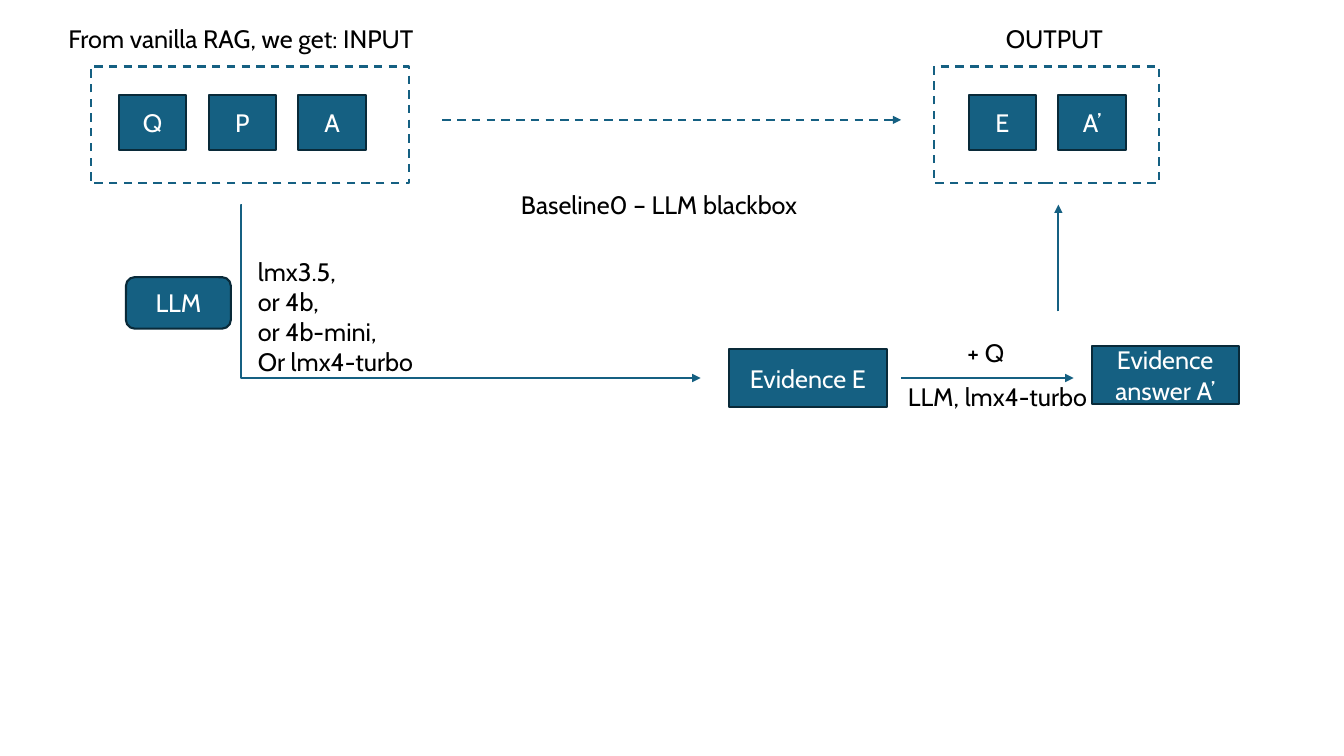
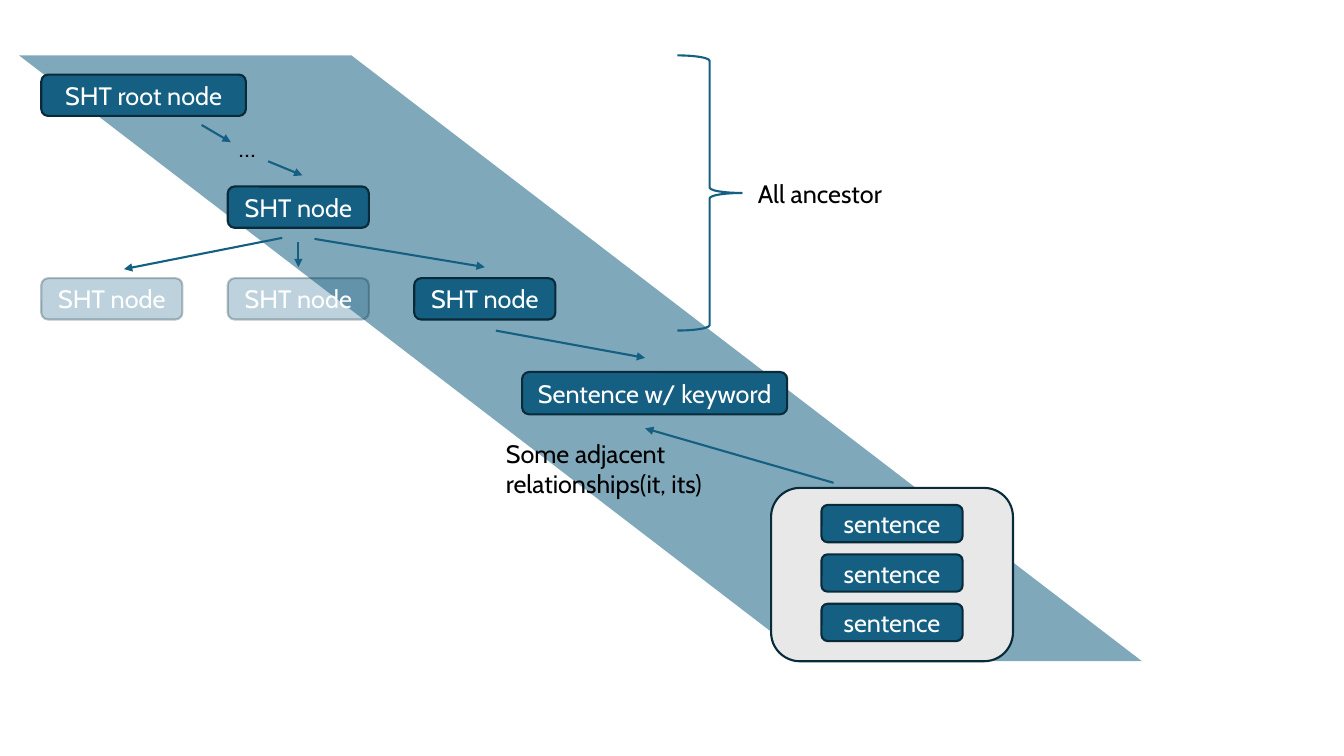
from dataclasses import dataclass

from lxml import etree
from pptx import Presentation
from pptx import util as u
from pptx.dml.color import RGBColor
from pptx.enum import dml, shapes, text
from pptx.oxml.ns import qn

PX = 9144  # EMU per px: 100 px to the inch


@dataclass(frozen=True)
class Theme:
    teal: RGBColor = RGBColor.from_string("156082")
    navy: RGBColor = RGBColor.from_string("092A39")
    grey: RGBColor = RGBColor.from_string("E8E8E8")
    white: RGBColor = RGBColor.from_string("FFFFFF")
    black: RGBColor = RGBColor.from_string("000000")
    font: str = "Cabin"
    size: u.Pt = u.Pt(18)
    stroke: u.Pt = u.Pt(1.5)


theme = Theme()
Kind = shapes.MSO_SHAPE
RECT, ROUND = Kind.RECTANGLE, Kind.ROUNDED_RECTANGLE


def put(slide, words, x, y, w, h, kind=None, fill=theme.teal, line=theme.navy,
        dashed=False, opacity=100):
    """Place words in a centred shape of the given kind, or in a plain text box without one."""
    frame = [v * PX for v in (x, y, w, h)]
    if kind is None:
        item = slide.shapes.add_textbox(*frame)
    else:
        item = slide.shapes.add_shape(kind, *frame)
        item.shadow.inherit = False
        if fill is None:
            item.fill.background()
        else:
            item.fill.solid()
            item.fill.fore_color.rgb = fill
        if line is None:
            item.line.fill.background()
        else:
            item.line.color.rgb = line
            item.line.width = theme.stroke
        if dashed:
            item.line.dash_style = dml.MSO_LINE.DASH
        if opacity < 100:
            for colour in item._element.spPr.iter(qn("a:srgbClr")):
                etree.SubElement(colour, qn("a:alpha"), val=str(opacity * 1000))
    if words:
        body = item.text_frame
        body.text = words
        body.word_wrap = True
        if kind is None:
            body.auto_size = text.MSO_AUTO_SIZE.SHAPE_TO_FIT_TEXT
        else:
            body.vertical_anchor = text.MSO_ANCHOR.MIDDLE
        for paragraph in body.paragraphs:
            paragraph.alignment = text.PP_ALIGN.LEFT if kind is None else text.PP_ALIGN.CENTER
            font = paragraph.font
            font.name, font.size = theme.font, theme.size
            font.color.rgb = theme.black if kind is None else theme.white
    return item


def arrow(slide, x1, y1, x2, y2, kind=shapes.MSO_CONNECTOR.STRAIGHT, dashed=False):
    link = slide.shapes.add_connector(kind, x1 * PX, y1 * PX, x2 * PX, y2 * PX)
    link.line.color.rgb = theme.teal
    link.line.width = theme.stroke
    if dashed:
        link.line.dash_style = dml.MSO_LINE.DASH
    properties = link._element.spPr
    etree.SubElement(properties.find(qn("a:ln")), qn("a:tailEnd"), type="triangle")
    etree.SubElement(properties, qn("a:effectLst"))
    return link


deck = Presentation()
deck.slide_width, deck.slide_height = u.Emu(12192000), u.Emu(6858000)
blank = deck.slide_layouts[6]

# Slide 1: baseline pipeline from input to output
pipeline = deck.slides.add_slide(blank)

for caption, x, y, w, h in [
    ("lmx3.5,\nor 4b,\nor 4b-mini,\nOr lmx4-turbo", 246, 249, 197, 131),
    ("+ Q", 950, 330, 70, 40),
    ("LLM, lmx4-turbo", 891, 373, 220, 40),
    ("Baseline0 – LLM blackbox", 507, 183, 409, 40),
    ("From vanilla RAG, we get: INPUT", 58, 18, 408, 40),
    ("OUTPUT", 988, 18, 122, 40),
]:
    put(pipeline, caption, x, y, w, h)

put(pipeline, "LLM", 125, 275, 104, 51, ROUND)
put(pipeline, "Evidence E", 723, 346, 157, 58, RECT)
put(pipeline, "Evidence answer A’", 1083, 343, 146, 58, RECT)

for group_x, group_w, first_x, items in [
    (90, 316, 118, ["Q", "P", "A"]),
    (927, 223, 961, ["E", "A’"]),
]:
    for i, item in enumerate(items):
        put(pipeline, item, first_x + 89 * i, 94, 67, 55, RECT)
    put(pipeline, "", group_x, 66, group_w, 116, RECT, fill=None, line=theme.teal, dashed=True)

arrow(pipeline, 439, 119, 894, 119, dashed=True)
arrow(pipeline, 894, 375, 1065, 375)
arrow(pipeline, 1050, 309, 1050, 203)
to_evidence = arrow(pipeline, 240, 203, 695, 375, kind=shapes.MSO_CONNECTOR.ELBOW)
bend = to_evidence._element.spPr.find(qn("a:prstGeom")).find(qn("a:avLst"))
etree.SubElement(bend, qn("a:gd"), name="adj1", fmla="val -200")

# Slide 2: tree path from the root node down to the sentences
tree = deck.slides.add_slide(blank)

path_band = put(tree, "", 19, 55, 1114, 601, Kind.PARALLELOGRAM, line=None, opacity=54)
path_band.adjustments[0] = 1.305
path_band._element.spPr.find(qn("a:xfrm")).set("flipH", "1")
put(tree, "", 765, 484, 240, 172, ROUND, fill=theme.grey)

for node, x, y, w, h, opacity in [
    ("SHT root node", 41, 74, 203, 41, 100),
    ("SHT node", 226, 185, 140, 41, 100),
    ("SHT node", 41, 276, 140, 41, 28),
    ("SHT node", 226, 276, 140, 41, 28),
    ("SHT node", 411, 276, 140, 41, 100),
    ("Sentence w/ keyword", 518, 369, 263, 42, 100),
]:
    put(tree, node, x, y, w, h, ROUND, opacity=opacity)

for i in range(3):
    put(tree, "sentence", 815, 501 + 49 * i, 140, 37, ROUND)

for ends in [
    (200, 124, 229, 141),
    (266, 160, 300, 174),
    (280, 236, 123, 267),
    (296, 240, 296, 265),
    (312, 237, 481, 265),
    (492, 328, 640, 355),
    (827, 479, 640, 425),
]:
    arrow(tree, *ends)

put(tree, "", 672, 55, 64, 273, Kind.RIGHT_BRACE, fill=None, line=theme.teal)
put(tree, "All ancestor", 742, 172, 169, 40)
put(tree, "Some adjacent relationships(it, its)", 492, 430, 335, 71)
put(tree, "…", 227, 126, 335, 40)

deck.save("out.pptx")
